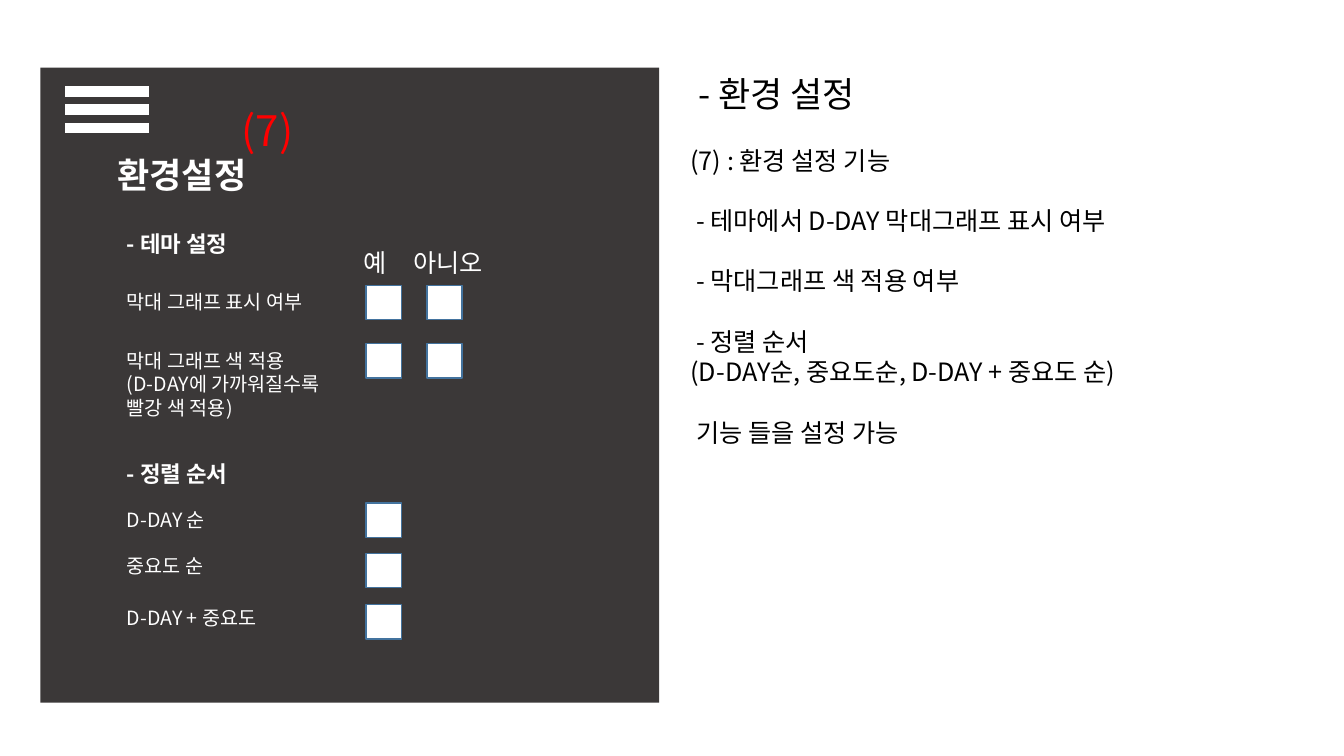
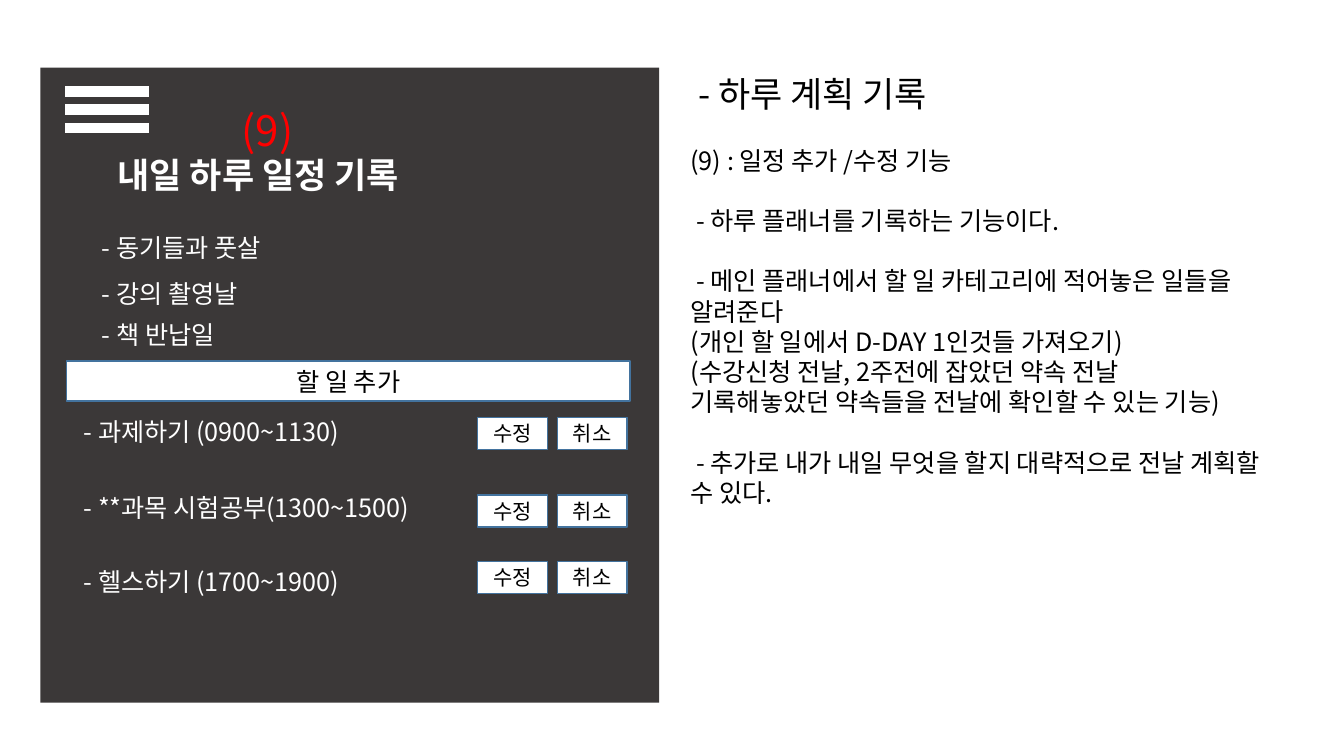
from dataclasses import dataclass

import lxml.etree
import pptx
import pptx.dml.color
import pptx.enum.shapes
import pptx.enum.text
import pptx.oxml.ns
import pptx.util

Pt = pptx.util.Pt
Shape = pptx.enum.shapes.MSO_SHAPE
Align = pptx.enum.text.PP_ALIGN
Anchor = pptx.enum.text.MSO_ANCHOR

FONT = "Noto Sans CJK KR"
WHITE, BLACK, RED = "FFFFFF", "000000", "FF0000"
DARK, BLUE = "3B3838", "43739E"
LEAD = 1.2  # line pitch as a share of the text size

HEAD = {"size": 25, "color": BLACK}
NOTE = {"size": 18, "color": BLACK}
NAME = {"size": 25, "color": WHITE, "bold": True}
MARK = {"size": 30, "color": RED}
GROUP = {"size": 16, "color": WHITE, "bold": True}
LABEL = {"size": 14, "color": WHITE}
ITEM = {"size": 18, "color": WHITE}
PRESS = {"size": 15, "color": BLACK}


@dataclass
class Box:
    left: float
    top: float
    width: float
    height: float


@dataclass
class Line:
    text: str
    gap: bool = False     # one empty line's height above
    indent: float = 0


@dataclass
class Page:
    title: str
    notes: list[Line]
    name: str
    mark: str


@dataclass
class Option:
    text: str
    top: float
    box_top: float
    count: int
    height: float = 24.5


@dataclass
class Task:
    text: str
    top: float
    press_top: float


def paint(color: str) -> pptx.dml.color.RGBColor:
    return pptx.dml.color.RGBColor.from_string(color)


def style(font, form: dict) -> None:
    values = {"size": Pt(form["size"]), "bold": form.get("bold", False), "name": FONT}
    for key, value in values.items():
        setattr(font, key, value)
    font.color.rgb = paint(form["color"])


def write(shape, lines: list[Line], form: dict, align=Align.LEFT,
          anchor=Anchor.TOP, inset: float = 7.2) -> None:
    """Fill a shape with lines of one format, at a fixed line pitch."""
    frame = shape.text_frame
    values = {"word_wrap": True, "auto_size": pptx.enum.text.MSO_AUTO_SIZE.NONE,
              "vertical_anchor": anchor, "margin_left": Pt(inset), "margin_right": Pt(7.2),
              "margin_top": Pt(3.6), "margin_bottom": Pt(3.6)}
    for key, value in values.items():
        setattr(frame, key, value)
    pitch = form["size"] * LEAD
    for place, line in enumerate(lines):
        para = frame.add_paragraph() if place else frame.paragraphs[0]
        values = {"alignment": align, "line_spacing": Pt(pitch), "space_after": Pt(0),
                  "space_before": Pt(pitch if line.gap else 0)}
        for key, value in values.items():
            setattr(para, key, value)
        run = para.add_run()
        run.text = line.text
        style(run.font, form)
        east = lxml.etree.SubElement(run.font._element, pptx.oxml.ns.qn("a:ea"))
        east.set("typeface", FONT)
        props = para._p.get_or_add_pPr()
        props.set("marL", "0")
        props.set("indent", str(Pt(line.indent)))
        lxml.etree.SubElement(props, pptx.oxml.ns.qn("a:buNone"))


def move(shape, box: Box) -> None:
    for key in ("left", "top", "width", "height"):
        setattr(shape, key, Pt(getattr(box, key)))


def spots(box: Box) -> list:
    return [Pt(box.left), Pt(box.top), Pt(box.width), Pt(box.height)]


def draw(slide, kind, box: Box, fill: str, edge: str = ""):
    shape = slide.shapes.add_shape(kind, *spots(box))
    shape.shadow.inherit = False
    shape.fill.solid()
    shape.fill.fore_color.rgb = paint(fill)
    if edge:
        shape.line.color.rgb = paint(edge)
        shape.line.width = Pt(1)
    else:
        shape.line.fill.background()
    return shape


def label(slide, text: str, box: Box, form: dict, inset: float = 7.2) -> None:
    """Add a text box with one paragraph for each line of the text."""
    lines = [Line(part) for part in text.splitlines()]
    write(slide.shapes.add_textbox(*spots(box)), lines, form, inset=inset)


def button(slide, text: str, box: Box, form: dict) -> None:
    shape = draw(slide, Shape.RECTANGLE, box, WHITE, BLUE)
    write(shape, [Line(text)], form, Align.CENTER, Anchor.MIDDLE)


def start(deck, page: Page):
    """Add a slide with its notes, dark panel, menu icon, name and red mark."""
    slide = deck.slides.add_slide(deck.slide_layouts[1])
    title, body = slide.placeholders
    move(title, Box(486, 48.24, 423.36, 38))
    write(title, [Line(page.title, indent=5.6)], HEAD)
    move(body, Box(486, 99.84, 423.36, 300))
    write(body, page.notes, NOTE)
    draw(slide, Shape.RECTANGLE, Box(28.8, 48.24, 442, 453.6), DARK)
    label(slide, page.name, Box(77, 105.84, 264, 37.4), NAME)
    label(slide, page.mark, Box(165.6, 71.28, 64, 44), MARK)
    for step in range(3):
        draw(slide, Shape.MATH_MINUS, Box(35.3, 49 + 12.96 * step, 82, 33), WHITE)
    return slide


SETUP = Page("- 환경 설정", [
    Line("(7) : 환경 설정 기능"),
    Line("- 테마에서 D-DAY 막대그래프 표시 여부", True, 4),
    Line("- 막대그래프 색 적용 여부", True, 4),
    Line("- 정렬 순서", True, 4),
    Line("(D-DAY순, 중요도순, D-DAY + 중요도 순)"),
    Line("기능 들을 설정 가능", True, 4),
], "환경설정", "(7)")

PLAN = Page("- 하루 계획 기록", [
    Line("(9) : 일정 추가 /수정 기능"),
    Line("- 하루 플래너를 기록하는 기능이다.", True, 4),
    Line("- 메인 플래너에서 할 일 카테고리에 적어놓은 일들을 알려준다", True, 4),
    Line("(개인 할 일에서 D-DAY 1인것들 가져오기)"),
    Line("(수강신청 전날, 2주전에 잡았던 약속 전날"),
    Line("기록해놓았던 약속들을 전날에 확인할 수 있는 기능)"),
    Line("- 추가로 내가 내일 무엇을 할지 대략적으로 전날 계획할 수 있다.", True, 4),
], "내일 하루 일정 기록", "(9)")

GROUPS = {"- 테마 설정": 160.56, "- 정렬 순서": 325.44}
OPTIONS = [
    Option("막대 그래프 표시 여부", 203.76, 203.76, 2),
    Option("막대 그래프 색 적용\n(D-DAY에 가까워질수록 빨강 색 적용)", 245.5, 245.5, 2, 58.3),
    Option("D-DAY 순", 359.3, 359.3, 1),
    Option("중요도 순", 392.4, 395.3, 1),
    Option("D-DAY + 중요도", 429.1, 432, 1),
]
EVENTS = {"- 동기들과 풋살": 162.7, "- 강의 촬영날": 195.1, "- 책 반납일": 224.6}
TASKS = [
    Task("- 과제하기 (0900~1130)", 293.8, 298.1),
    Task("- **과목 시험공부(1300~1500)", 347.8, 353.5),
    Task("- 헬스하기 (1700~1900)", 401, 401),
]


def setup(deck) -> None:
    slide = start(deck, SETUP)
    for text, top in GROUPS.items():
        label(slide, text, Box(83.5, top, 136, 26.6), GROUP)
    label(slide, "예", Box(252.7, 172.8, 57.6, 28.8), ITEM)
    label(slide, "아니오", Box(288, 172.8, 72.7, 28.8), ITEM)
    for row in OPTIONS:
        label(slide, row.text, Box(83.5, row.top, 163.4, row.height), LABEL)
        for col in range(row.count):
            box = Box(261.4 + 43.5 * col, row.box_top, 25.2, 24.5)
            draw(slide, Shape.RECTANGLE, box, WHITE, BLUE)


def plan(deck) -> None:
    slide = start(deck, PLAN)
    for text, top in EVENTS.items():
        label(slide, text, Box(57.6, top, 229, 28.8), ITEM, 15.2)
    button(slide, "할 일 추가", Box(47.5, 257.8, 402.5, 28.8), NOTE)
    for task in TASKS:
        label(slide, task.text, Box(44.6, task.top, 286, 28.8), ITEM, 15.2)
        for col, text in enumerate(("수정", "취소")):
            button(slide, text, Box(341.3 + 56.9 * col, task.press_top, 49.7, 23), PRESS)


def main() -> None:
    deck = pptx.Presentation()
    deck.slide_width, deck.slide_height = Pt(960), Pt(540)
    setup(deck)
    plan(deck)
    deck.save("out.pptx")


if __name__ == "__main__":
    main()
